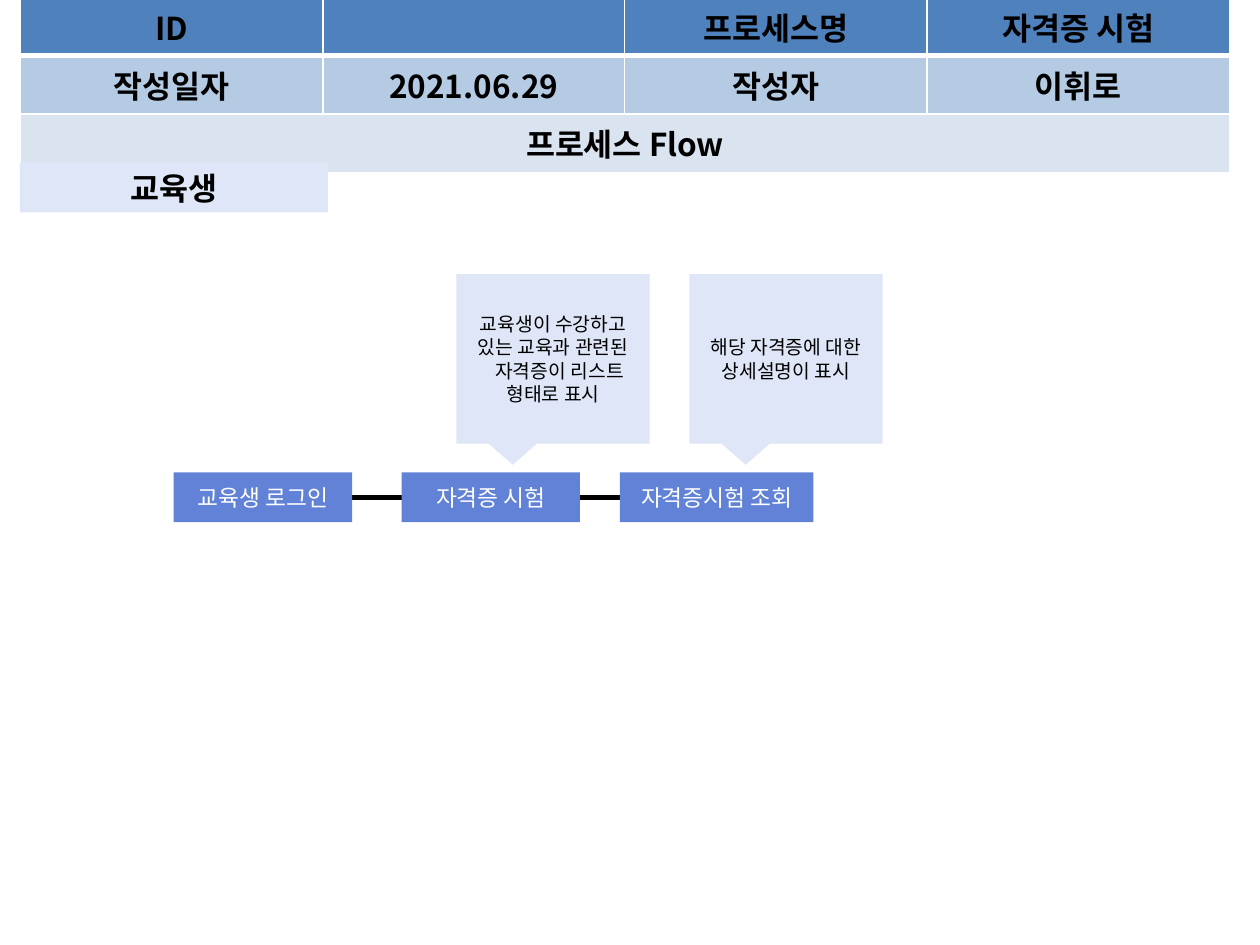
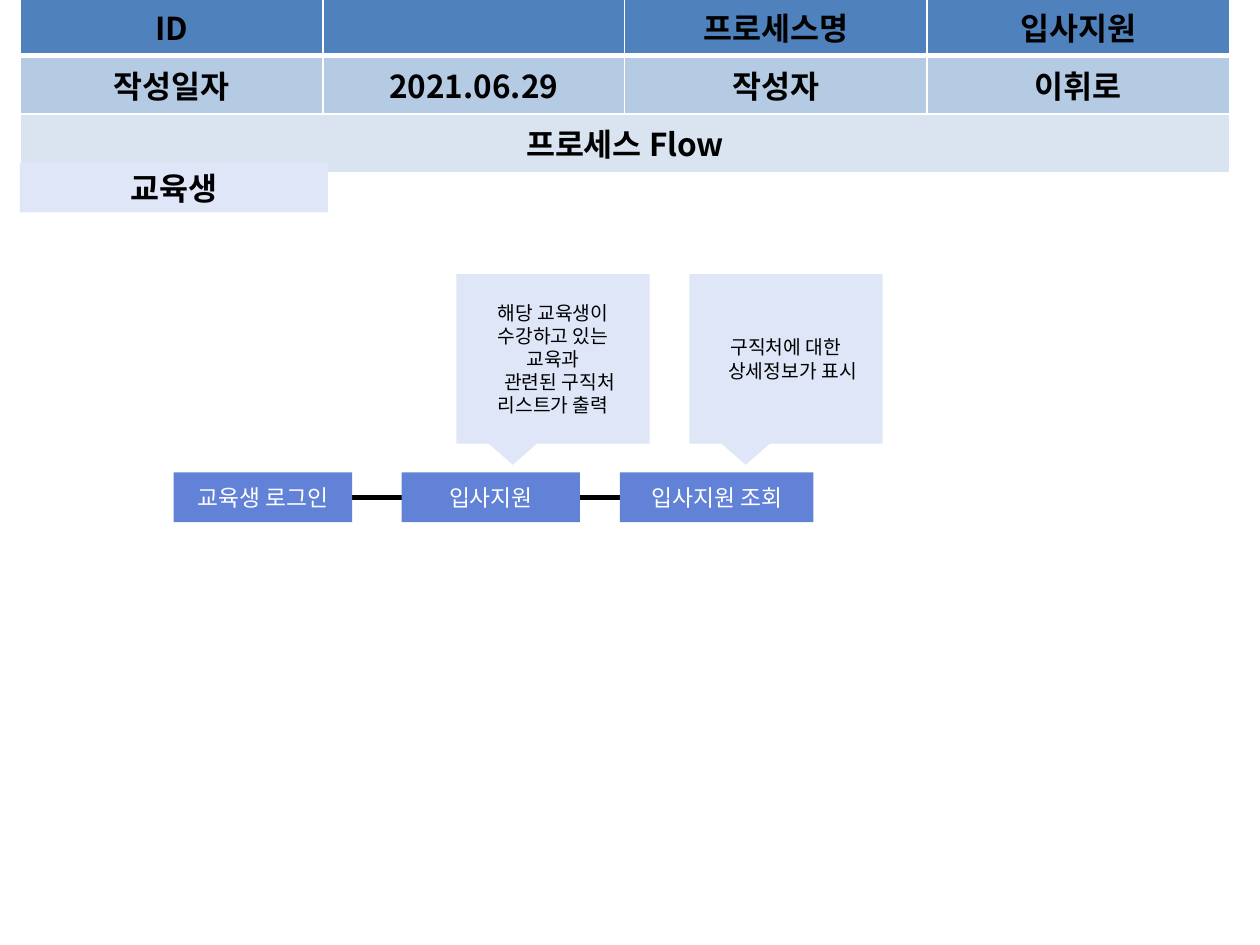
from pptx import Presentation
from pptx.dml.color import RGBColor
from pptx.enum.shapes import MSO_CONNECTOR as LINE, MSO_SHAPE as SHAPE
from pptx.enum.text import MSO_ANCHOR as ANCHOR, PP_ALIGN as ALIGN
from pptx.oxml import parse_xml
from pptx.oxml.ns import nsdecls, qn
from pptx.util import Pt

FONT = "Noto Sans CJK KR"
C = {
    "header": "4F81BD", "info": "B5CAE3", "section": "DAE4F1",
    "pale": "DFE6F7", "step": "6182D6", "black": "000000", "white": "FFFFFF",
}
NS = nsdecls("a")


def write(tf, lines, size, color, bold=False):
    for i, line in enumerate(lines):
        p = tf.paragraphs[0] if i == 0 else tf.add_paragraph()
        p.text = line
        p.alignment = ALIGN.CENTER
        p.font.size = Pt(size)
        p.font.bold = bold
        p.font.name = FONT
        p.font.color.rgb = RGBColor.from_string(C[color])
        pPr = p._p.get_or_add_pPr()
        pPr.find(qn("a:defRPr")).append(parse_xml(f'<a:ea {NS} typeface="{FONT}"/>'))
        if i > 0:
            pPr.set("indent", str(Pt(7.5)))


def add_box(s, kind, box, fill, lines, size, color, bold=False):
    sp = s.shapes.add_shape(kind, *[Pt(v) for v in box])
    sp.shadow.inherit = False
    sp.fill.solid()
    sp.fill.fore_color.rgb = RGBColor.from_string(C[fill])
    sp.line.fill.background()
    sp.text_frame.vertical_anchor = ANCHOR.MIDDLE
    write(sp.text_frame, lines, size, color, bold)
    return sp


processes = [
    {
        "name": "자격증 시험",
        "lookup": "자격증시험 조회",
        "notes": [
            ["교육생이 수강하고 있는 교육과 관련된", "자격증이 리스트 형태로 표시"],
            ["해당 자격증에 대한 상세설명이 표시"],
        ],
    },
    {
        "name": "입사지원",
        "lookup": "입사지원 조회",
        "notes": [
            ["해당 교육생이 수강하고 있는 교육과", "관련된 구직처 리스트가 출력"],
            ["구직처에 대한", "상세정보가 표시"],
        ],
    },
]
columns = [73.4, 99.4, 172.4, 172.8, 172.8]
row_height = 29.3
step_top, step_height = 270, 28.4

prs = Presentation()
prs.slide_width, prs.slide_height = Pt(720), Pt(540)

for process in processes:
    s = prs.slides.add_slide(prs.slide_layouts[6])

    rows = [
        ("header", ["ID", "", "", "프로세스명", process["name"]], 1),
        ("info", ["작성일자", "", "2021.06.29", "작성자", "이휘로"], 1),
        ("section", ["프로세스 Flow", "", "", "", ""], 4),
    ]
    table = s.shapes.add_table(len(rows), len(columns), Pt(11.8), Pt(-1.4),
                               Pt(sum(columns)), Pt(row_height * len(rows))).table
    table.first_row = table.horz_banding = False
    for col, width in zip(table.columns, columns):
        col.width = Pt(width)
    for r, (fill, texts, last_merged) in enumerate(rows):
        table.rows[r].height = Pt(row_height)
        table.cell(r, 0).merge(table.cell(r, last_merged))
        for c, text in enumerate(texts):
            cell = table.cell(r, c)
            cell.fill.solid()
            cell.fill.fore_color.rgb = RGBColor.from_string(C[fill])
            write(cell.text_frame, [text], 18, "black", True)
            if fill == "header":
                cell._tc.get_or_add_tcPr().insert(0, parse_xml(
                    f'<a:lnB {NS} w="{Pt(3)}"><a:solidFill>'
                    f'<a:srgbClr val="{C["white"]}"/></a:solidFill></a:lnB>'))

    add_box(s, SHAPE.RECTANGLE, (11.4, 93, 176, 28.4), "pale", ["교육생"], 18, "black", True)

    line_y = Pt(step_top + step_height / 2)
    flow = s.shapes.add_connector(LINE.STRAIGHT, Pt(201.2), line_y, Pt(354.3), line_y)
    flow.line.color.rgb = RGBColor.from_string(C["black"])
    flow.line.width = Pt(3)
    flow._element.spPr.append(parse_xml(f"<a:effectLst {NS}/>"))

    steps = [
        (99.2, 102, "교육생 로그인"),
        (229.5, 102, process["name"]),
        (354.3, 110.5, process["lookup"]),
    ]
    for left, width, text in steps:
        add_box(s, SHAPE.RECTANGLE, (left, step_top, width, step_height),
                "step", [text], 13, "white")

    for left, lines in zip((260.8, 393.9), process["notes"]):
        note = add_box(s, SHAPE.RECTANGULAR_CALLOUT, (left, 156.6, 110.5, 96.9),
                       "pale", lines, 11, "black")
        note.adjustments[0] = -0.208
        note.adjustments[1] = 0.625

prs.save("out.pptx")
